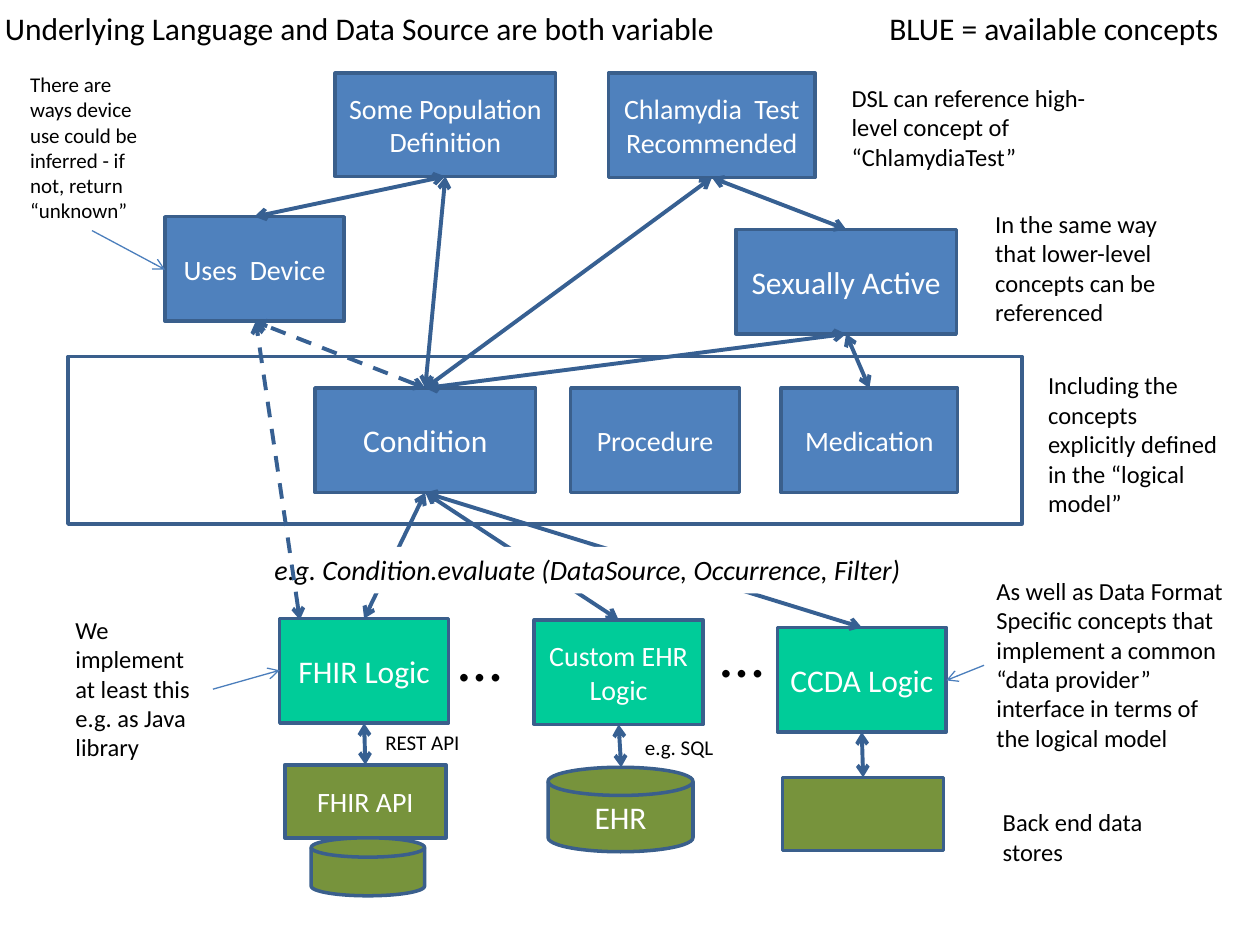
from lxml import etree
from pptx import Presentation
from pptx.dml.color import RGBColor
from pptx.enum.dml import MSO_LINE
from pptx.enum.shapes import MSO_CONNECTOR, MSO_SHAPE
from pptx.enum.text import MSO_ANCHOR, PP_ALIGN
from pptx.oxml.ns import qn
from pptx.util import Inches, Pt

RECT = MSO_SHAPE.RECTANGLE
DISK = MSO_SHAPE.FLOWCHART_MAGNETIC_DISK
STRAIGHT = MSO_CONNECTOR.STRAIGHT
DASH = MSO_LINE.DASH
MIDDLE = MSO_ANCHOR.MIDDLE
CENTER = PP_ALIGN.CENTER
TOP, BOTTOM = 0, 2  # connection sites of a rectangle

FONT = "Calibri"
COLORS = {
    "concept": "4F81BD",
    "logic": "00CC99",
    "store": "77933C",
    "outline": "3A5F8C",
    "arrow": "376092",
    "pointer": "4B7EBC",
    "white": "FFFFFF",
    "black": "000000",
}
COLORS = {name: RGBColor.from_string(value) for name, value in COLORS.items()}


def write(frame, text, size, color, align=None):
    for index, line in enumerate(text.split("\n")):
        para = frame.paragraphs[0] if index == 0 else frame.add_paragraph()
        para.text = line
        para.alignment = align
        para.font.name = FONT
        para.font.size = Pt(size)
        para.font.color.rgb = COLORS[color]


def add_arrow(start, end, color="arrow", width=2.25, both=True):
    arrow = page.shapes.add_connector(STRAIGHT, *(Inches(v) for v in start + end))
    arrow.line.color.rgb = COLORS[color]
    arrow.line.width = Pt(width)
    line = arrow.line._get_or_add_ln()
    for tag in ["a:headEnd", "a:tailEnd"] if both else ["a:tailEnd"]:
        etree.SubElement(line, qn(tag), type="arrow")
    etree.SubElement(arrow._element.spPr, qn("a:effectLst"))
    return arrow


deck = Presentation()
deck.slide_width, deck.slide_height = Inches(10), Inches(7.5)
page = deck.slides.add_slide(deck.slide_layouts[6])

# Frame around the logical model, then the boxes: name, kind, geometry, place, text, size
boxes = {}
for name, kind, geometry, place, text, size in [
    ("model", None, RECT, (0.54, 2.83, 7.57, 1.33), "", 18),
    ("population", "concept", RECT, (2.66, 0.58, 1.75, 0.82), "Some Population Definition", 16),
    ("test", "concept", RECT, (4.83, 0.58, 1.64, 0.83), "Chlamydia  Test Recommended", 16),
    ("device", "concept", RECT, (1.31, 1.72, 1.42, 0.83), "Uses  Device", 16),
    ("active", "concept", RECT, (5.84, 1.82, 1.75, 0.83), "Sexually Active", 18),
    ("condition", "concept", RECT, (2.5, 3.08, 1.75, 0.83), "Condition", 18),
    ("procedure", "concept", RECT, (4.53, 3.08, 1.34, 0.83), "Procedure", 16),
    ("medication", "concept", RECT, (6.2, 3.08, 1.4, 0.83), "Medication", 16),
    ("fhir", "logic", RECT, (2.22, 4.91, 1.34, 0.83), "FHIR Logic", 18),
    ("custom", "logic", RECT, (4.24, 4.92, 1.34, 0.83), "Custom EHR Logic", 16),
    ("ccda", "logic", RECT, (6.17, 4.98, 1.34, 0.83), "CCDA Logic", 18),
    ("fhir api", "store", RECT, (2.26, 6.07, 1.28, 0.58), "FHIR API", 16),
    ("fhir disk", "store", DISK, (2.47, 6.65, 0.9, 0.46), "", 18),
    ("ehr", "store", DISK, (4.35, 6.09, 1.15, 0.67), "EHR", 18),
    ("ccda store", "store", RECT, (6.21, 6.17, 1.28, 0.58), "", 18),
]:
    box = page.shapes.add_shape(geometry, *(Inches(v) for v in place))
    box.shadow.inherit = False
    if kind:
        box.fill.solid()
        box.fill.fore_color.rgb = COLORS[kind]
    else:
        box.fill.background()
    box.line.color.rgb = COLORS["outline"]
    box.line.width = Pt(2)
    box.text_frame.word_wrap = True
    box.text_frame.vertical_anchor = MIDDLE
    if text:
        write(box.text_frame, text, size, "white", CENTER)
    boxes[name] = box

# Arrows glued to the boxes they join
for start, start_site, end, end_site in [
    ("device", TOP, "population", BOTTOM),
    ("condition", TOP, "population", BOTTOM),
    ("condition", TOP, "test", BOTTOM),
    ("active", TOP, "test", BOTTOM),
    ("condition", TOP, "active", BOTTOM),
    ("medication", TOP, "active", BOTTOM),
    ("condition", TOP, "device", BOTTOM),
    ("fhir", TOP, "condition", BOTTOM),
    ("custom", TOP, "condition", BOTTOM),
    ("ccda", TOP, "condition", BOTTOM),
    ("fhir", BOTTOM, "fhir api", TOP),
    ("ccda", BOTTOM, "ccda store", TOP),
]:
    arrow = add_arrow((0, 0), (1, 1))
    arrow.begin_connect(boxes[start], start_site)
    arrow.end_connect(boxes[end], end_site)
    if (start, end) == ("condition", "device"):
        arrow.line.dash_style = DASH
add_arrow((4.91, 5.75), (4.93, 6.09))

# Thin pointers from the notes
for start, end in [
    ((0.73, 1.83), (1.31, 2.14)),
    ((1.69, 5.47), (2.22, 5.32)),
    ((7.81, 5.28), (7.51, 5.4)),
]:
    add_arrow(start, end, "pointer", 0.75, both=False)

# Example call, covering the arrows behind it
example = page.shapes.add_textbox(Inches(2.08), Inches(4.34), Inches(5.38), Inches(0.37))
example.fill.solid()
example.fill.fore_color.rgb = COLORS["white"]
example.text_frame.word_wrap = True
write(example.text_frame, "e.g. Condition.evaluate (DataSource, Occurrence, Filter)", 16, "black")
example.text_frame.paragraphs[0].font.italic = True

# Headings, notes and labels: place, size, wrap, text
for place, size, wrap, text in [
    ((-0.06, 0.02, 5.96, 0.4), 18, False, "Underlying Language and Data Source are both variable"),
    ((6.96, 0.02, 2.84, 0.4), 18, False, "BLUE = available concepts"),
    ((0.14, 0.52, 1.19, 1.31), 12, True,
     "There are ways device use could be inferred - if not, return “unknown”"),
    ((6.66, 0.61, 2.35, 0.81), 14, True,
     "DSL can reference high-level concept of “ChlamydiaTest”"),
    ((7.8, 1.61, 1.83, 1.04), 14, True,
     "In the same way that lower-level concepts can be referenced"),
    ((8.22, 2.89, 1.64, 1.28), 14, True,
     "Including the concepts explicitly defined in the “logical model”"),
    ((7.81, 4.52, 2.03, 1.51), 14, True,
     "As well as Data Format Specific concepts that implement a common "
     "“data provider” interface in terms of the logical model"),
    ((0.5, 4.83, 1.19, 1.28), 14, True, "We implement at least this\ne.g. as Java library"),
    ((7.86, 6.36, 1.56, 0.57), 14, True, "Back end data stores"),
    ((2.96, 5.74, 1.13, 0.3), 12, True, "REST API"),
    ((5.02, 5.78, 0.81, 0.3), 12, True, "e.g. SQL"),
    ((3.54, 4.86, 0.55, 0.71), 36, False, "…"),
    ((5.62, 4.83, 0.55, 0.71), 36, False, "…"),
]:
    note = page.shapes.add_textbox(*(Inches(v) for v in place))
    note.text_frame.word_wrap = wrap
    write(note.text_frame, text, size, "black")

# Dashed arrow that passes over the example call
add_arrow((2.38, 4.92), (2.03, 2.55)).line.dash_style = DASH

deck.save("out.pptx")
